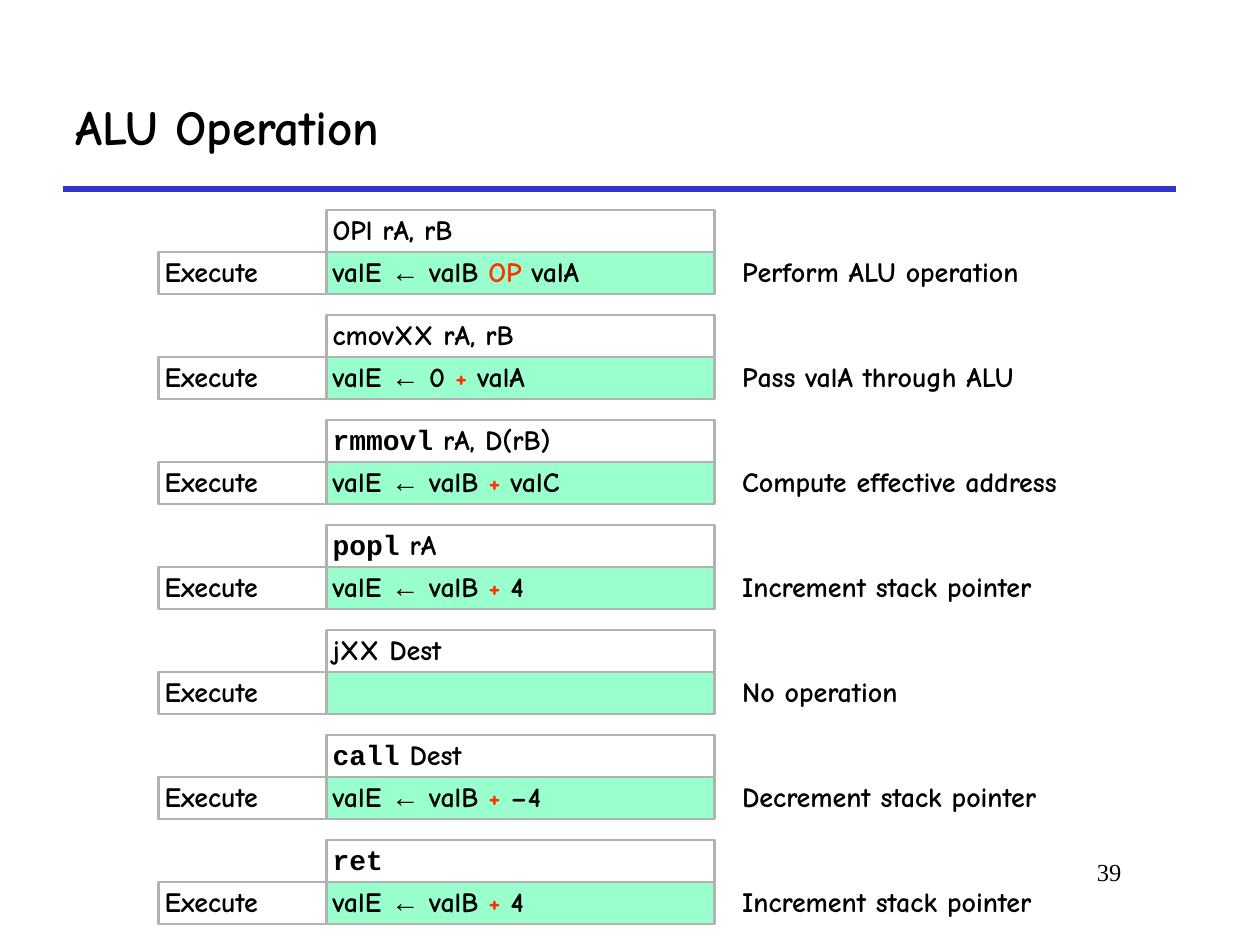
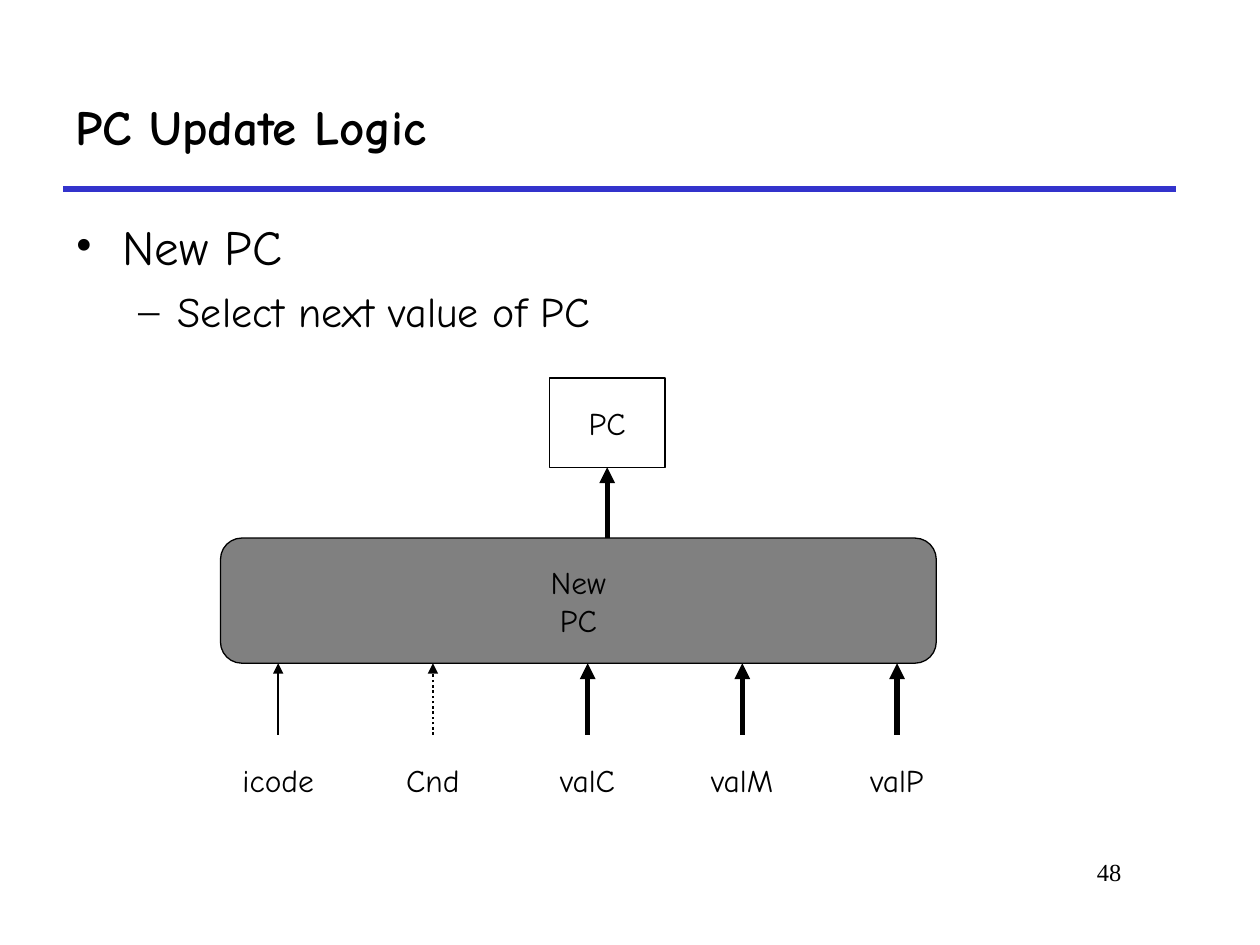
"""Build two slides on the ALU operation and the PC update logic."""
from dataclasses import dataclass

from lxml import etree
from pptx import Presentation
from pptx.dml.color import RGBColor
from pptx.enum.dml import MSO_LINE
from pptx.enum.shapes import MSO_CONNECTOR, MSO_SHAPE
from pptx.enum.text import MSO_ANCHOR, MSO_AUTO_SIZE, PP_ALIGN
from pptx.oxml.ns import qn
from pptx.util import Pt

RECTANGLE, ROUNDED, ELLIPSE = MSO_SHAPE.RECTANGLE, MSO_SHAPE.ROUNDED_RECTANGLE, MSO_SHAPE.OVAL
STRAIGHT, DOTTED = MSO_CONNECTOR.STRAIGHT, MSO_LINE.ROUND_DOT
TOP, MIDDLE = MSO_ANCHOR.TOP, MSO_ANCHOR.MIDDLE
LEFT, CENTER, RIGHT = PP_ALIGN.LEFT, PP_ALIGN.CENTER, PP_ALIGN.RIGHT
SIDE_TOP, SIDE_BOTTOM = 0, 2


@dataclass(frozen=True)
class Theme:
    """Colours, fonts and type sizes of the deck."""
    ink: str = "000000"
    paper: str = "FFFFFF"
    rule: str = "3333CC"
    border: str = "B2B2B2"
    step: str = "99FFCC"
    operator: str = "FF3300"
    logic: str = "808080"
    body_font: str = "Comic Neue"
    code_font: str = "Courier New"
    arrow_font: str = "Arial"
    number_font: str = "Times New Roman"
    title_size: int = 28
    subpoint_size: int = 24
    diagram_size: int = 18
    cell_size: int = 16
    number_size: int = 14


THEME = Theme()

ALU_TITLE, ALU_NUMBER = "ALU Operation", "39"
STAGE = "Execute"
ALU_STEPS = [
    ("", "OPl rA, rB", ("valB", "OP", "valA"), "Perform ALU operation"),
    ("", "cmovXX rA, rB", ("0", "+", "valA"), "Pass valA through ALU"),
    ("rmmovl", " rA, D(rB)", ("valB", "+", "valC"), "Compute effective address"),
    ("popl", " rA", ("valB", "+", "4"), "Increment stack pointer"),
    ("", "jXX Dest", None, "No operation"),
    ("call", " Dest", ("valB", "+", "–4"), "Decrement stack pointer"),
    ("ret", "", ("valB", "+", "4"), "Increment stack pointer"),
]

PC_TITLE, PC_NUMBER = "PC Update Logic", "48"
PC_POINTS = [
    ("New PC", "•", THEME.title_size, 27, -27, 0),
    ("Select next value of PC", "–", THEME.subpoint_size, 58.5, -22.5, 6),
]
PC_INPUTS = [("icode", 1, None), ("Cnd", 1.5, DOTTED), ("valC", 3, None),
             ("valM", 3, None), ("valP", 3, None)]


def color(value):
    """Turn a hex string into a colour."""
    return RGBColor.from_string(value)


def add_run(paragraph, text, size, font=THEME.body_font, ink=THEME.ink, bold=False):
    """Append one formatted run."""
    run = paragraph.add_run()
    run.text = text
    run.font.size, run.font.name, run.font.bold = Pt(size), font, bold
    run.font.color.rgb = color(ink)


def set_frame(shape, anchor, inset=None, wrap=True):
    """Prepare the text frame of a shape and return it."""
    frame = shape.text_frame
    frame.auto_size = MSO_AUTO_SIZE.NONE
    frame.word_wrap, frame.vertical_anchor = wrap, anchor
    if inset is not None:
        frame.margin_left = frame.margin_right = Pt(inset)
        frame.margin_top = frame.margin_bottom = Pt(inset)
    return frame


def add_text_box(slide, left, top, width, height):
    """Add an empty text box."""
    return slide.shapes.add_textbox(Pt(left), Pt(top), Pt(width), Pt(height))


def add_box(slide, kind, left, top, width, height, fill=None, line=None, weight=0.75):
    """Add a preset shape with an optional fill and outline."""
    shape = slide.shapes.add_shape(kind, Pt(left), Pt(top), Pt(width), Pt(height))
    shape.shadow.inherit = False
    for part, value in ((shape.fill, fill), (shape.line.fill, line)):
        if value:
            part.solid()
            part.fore_color.rgb = color(value)
        else:
            part.background()
    if line:
        shape.line.width = Pt(weight)
    return shape


def add_line(slide, start, end, ink, weight):
    """Add a straight connector without a shadow."""
    connector = slide.shapes.add_connector(STRAIGHT, *map(Pt, start + end))
    connector.line.color.rgb = color(ink)
    connector.line.width = Pt(weight)
    etree.SubElement(connector._element.spPr, qn("a:effectLst"))
    return connector


def add_arrow(slide, start, end, weight, dash=None):
    """Add a connector with a triangle at its end."""
    connector = add_line(slide, start, end, THEME.ink, weight)
    if dash:
        connector.line.dash_style = dash
    etree.SubElement(connector.line._get_or_add_ln(), qn("a:tailEnd"), type="triangle")
    return connector


def add_slide(presentation, title, number):
    """Add a slide with the shared title, rule and page number."""
    slide = presentation.slides.add_slide(presentation.slide_layouts[5])
    heading = slide.shapes.title
    heading.left, heading.top, heading.width, heading.height = map(Pt, (36, 36, 636, 72))
    paragraph = set_frame(heading, MIDDLE).paragraphs[0]
    paragraph.alignment = LEFT
    add_run(paragraph, title, THEME.title_size, bold=True)
    add_line(slide, (36, 108), (672, 108), THEME.rule, 3)
    number_box = add_text_box(slide, 546, 486, 102, 36)
    paragraph = set_frame(number_box, TOP).paragraphs[0]
    paragraph.alignment = RIGHT
    add_run(paragraph, number, THEME.number_size, THEME.number_font)
    return slide


def write_cell(shape, runs):
    """Write bold runs, each with its font and colour, into a cell."""
    paragraph = set_frame(shape, TOP, inset=3.6).paragraphs[0]
    paragraph.alignment, paragraph.line_spacing = LEFT, 0.9
    for text, font, ink in runs:
        if text:
            add_run(paragraph, text, THEME.cell_size, font, ink, bold=True)


def build_alu_slide(presentation):
    """List what the execute stage does for each instruction."""
    slide = add_slide(presentation, ALU_TITLE, ALU_NUMBER)
    stage_left, stage_width, step_width, row_height = 90.5, 96, 222, 24
    step_left = stage_left + stage_width
    note_left = step_left + step_width + 12
    body, ink = THEME.body_font, THEME.ink
    for index, (mnemonic, operands, operation, note) in enumerate(ALU_STEPS):
        top = 120 + 60 * index
        step_top = top + row_height
        instruction = [(mnemonic, THEME.code_font, ink), (operands, body, ink)]
        formula = []
        if operation:
            first, operator, second = operation
            formula = [("valE ", body, ink), ("←", THEME.arrow_font, ink),
                       (f" {first} ", body, ink), (operator, body, THEME.operator),
                       (f" {second}", body, ink)]
        cells = [
            (step_left, top, step_width, None, instruction),
            (stage_left, step_top, stage_width, None, [(STAGE, body, ink)]),
            (step_left, step_top, step_width, THEME.step, formula),
        ]
        for left, cell_top, width, fill, runs in cells:
            cell = add_box(slide, RECTANGLE, left, cell_top, width, row_height,
                           fill, THEME.border, 1.5)
            write_cell(cell, runs)
        write_cell(add_text_box(slide, note_left, step_top, step_width, row_height),
                   [(note, body, ink)])


def write_label(shape, *lines):
    """Centre lines of text in a diagram shape."""
    frame = set_frame(shape, MIDDLE, wrap=False)
    for index, line in enumerate(lines):
        paragraph = frame.add_paragraph() if index else frame.paragraphs[0]
        paragraph.alignment = CENTER
        add_run(paragraph, line, THEME.diagram_size)


def add_points(slide):
    """Add the bulleted text above the diagram."""
    frame = set_frame(add_text_box(slide, 36, 120, 420, 78), TOP)
    for index, (text, bullet, size, margin, indent, before) in enumerate(PC_POINTS):
        paragraph = frame.add_paragraph() if index else frame.paragraphs[0]
        paragraph.level = index
        properties = paragraph._p.get_or_add_pPr()
        properties.set("marL", str(Pt(margin)))
        properties.set("indent", str(Pt(indent)))
        etree.SubElement(properties, qn("a:buFont"), typeface=THEME.number_font)
        etree.SubElement(properties, qn("a:buChar"), char=bullet)
        if before:
            paragraph.space_before = Pt(before)
        add_run(paragraph, text, size)


def build_pc_slide(presentation):
    """Show how the next PC value is selected from its inputs."""
    slide = add_slide(presentation, PC_TITLE, PC_NUMBER)
    add_points(slide)
    left, width, height = 126, 66, 51
    logic_top, logic_height, input_top, pitch = 307.5, 71.5, 420, 88.4
    logic_bottom = logic_top + logic_height
    logic = add_box(slide, ROUNDED, left, logic_top, 409, logic_height,
                    THEME.logic, THEME.ink)
    logic.adjustments[0] = 0.17
    write_label(logic, "New", "PC")

    register = add_box(slide, RECTANGLE, 314, 216, width, height, THEME.paper, THEME.ink)
    write_label(register, "PC")
    center = 314 + width / 2
    arrow = add_arrow(slide, (center, logic_top), (center, 216 + height), 3)
    arrow.end_connect(register, SIDE_BOTTOM)

    for index, (name, weight, dash) in enumerate(PC_INPUTS):
        input_left = left + pitch * index
        signal = add_box(slide, ELLIPSE, input_left, input_top, width, height)
        write_label(signal, name)
        center = input_left + width / 2
        arrow = add_arrow(slide, (center, input_top), (center, logic_bottom), weight, dash)
        arrow.begin_connect(signal, SIDE_TOP)


def main():
    """Build and save the deck."""
    presentation = Presentation()
    presentation.slide_width, presentation.slide_height = Pt(720), Pt(540)
    build_alu_slide(presentation)
    build_pc_slide(presentation)
    presentation.save("out.pptx")


if __name__ == "__main__":
    main()
